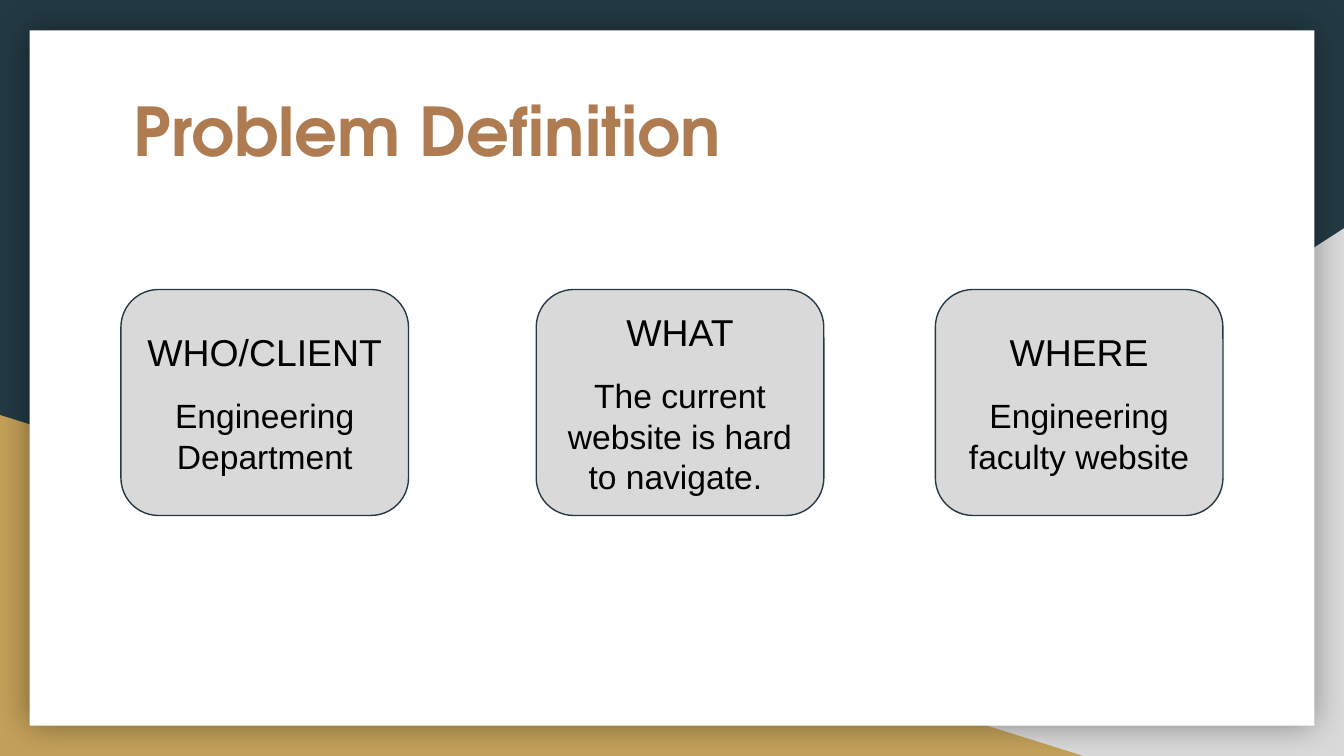
from dataclasses import dataclass

from lxml import etree
from pptx import Presentation
from pptx.dml.color import RGBColor
from pptx.enum.shapes import MSO_SHAPE
from pptx.enum.text import MSO_ANCHOR, PP_ALIGN
from pptx.oxml.ns import qn
from pptx.shapes.autoshape import Shape
from pptx.slide import Slide
from pptx.text.text import TextFrame
from pptx.util import Inches, Pt

TRIANGLE = MSO_SHAPE.RIGHT_TRIANGLE
RECTANGLE = MSO_SHAPE.RECTANGLE
ROUNDED = MSO_SHAPE.ROUNDED_RECTANGLE
CENTER = PP_ALIGN.CENTER
MIDDLE = MSO_ANCHOR.MIDDLE
TOP = MSO_ANCHOR.TOP


@dataclass(frozen=True)
class Theme:
    navy: str = "233A44"
    gold: str = "C4A15A"
    gray: str = "D9D9D9"
    white: str = "FFFFFF"
    black: str = "000000"
    bronze: str = "AF7B51"
    title_font: str = "TeX Gyre Adventor"
    body_font: str = "Arial"
    title_size: float = 36
    heading_size: float = 20
    body_size: float = 18
    heading_gap: float = 11.5
    outline: float = 0.75
    shadow_blur: float = 18
    shadow_alpha: int = 40


@dataclass(frozen=True)
class Box:
    x: float
    y: float
    w: float
    h: float

    def emu(self) -> tuple[int, ...]:
        col, row = WIDTH / 100, HEIGHT / 100
        return (round(self.x * col), round(self.y * row),
                round(self.w * col), round(self.h * row))


@dataclass(frozen=True)
class Card:
    left: float
    heading: str
    body: str


THEME = Theme()
WIDTH = Inches(10)
HEIGHT = WIDTH * 9 // 16
CARD_TOP, CARD_WIDTH, CARD_HEIGHT = 38.3, 21.4, 29.9
CARDS = (
    Card(9, "WHO/CLIENT", "Engineering Department"),
    Card(39.9, "WHAT", "The current website is hard to navigate. "),
    Card(69.6, "WHERE", "Engineering faculty website"),
)


def rgb(color: str) -> RGBColor:
    return RGBColor.from_string(color)


def add_shape(s: Slide, kind: MSO_SHAPE, box: Box, fill: str) -> Shape:
    sp = s.shapes.add_shape(kind, *box.emu())
    sp.shadow.inherit = False
    sp.fill.solid()
    sp.fill.fore_color.rgb = rgb(fill)
    sp.line.fill.background()
    return sp


def add_glow(sp: Shape) -> None:
    effects = sp._element.spPr.find(qn("a:effectLst"))
    shadow = etree.SubElement(effects, qn("a:outerShdw"), blurRad=str(Pt(THEME.shadow_blur)),
                              dist="0", dir="0", algn="ctr", rotWithShape="0")
    color = etree.SubElement(shadow, qn("a:srgbClr"), val=THEME.black)
    etree.SubElement(color, qn("a:alpha"), val=str(THEME.shadow_alpha * 1000))


def setup_text(tf: TextFrame, anchor: MSO_ANCHOR) -> None:
    tf.word_wrap = True
    tf.vertical_anchor = anchor
    tf.margin_left = tf.margin_right = tf.margin_top = tf.margin_bottom = Inches(0.1)


def add_backdrop(s: Slide) -> None:
    s.background.fill.solid()
    s.background.fill.fore_color.rgb = rgb(THEME.navy)
    corner = add_shape(s, TRIANGLE, Box(39.2, 30.2, 60.8, 69.8), THEME.gray)
    corner._element.spPr.xfrm.set("flipH", "1")
    add_shape(s, TRIANGLE, Box(0, 54.9, 80.6, 45.1), THEME.gold)
    add_glow(add_shape(s, RECTANGLE, Box(2.2, 4, 95.6, 92), THEME.white))


def add_title(s: Slide, text: str) -> None:
    tf = s.shapes.add_textbox(*Box(8.95, 10.1, 82.1, 18.5).emu()).text_frame
    setup_text(tf, TOP)
    p = tf.paragraphs[0]
    p.text = text
    p.font.name, p.font.size, p.font.bold = THEME.title_font, Pt(THEME.title_size), True
    p.font.color.rgb = rgb(THEME.bronze)


def add_card(s: Slide, card: Card) -> None:
    sp = add_shape(s, ROUNDED, Box(card.left, CARD_TOP, CARD_WIDTH, CARD_HEIGHT), THEME.gray)
    sp.line.color.rgb = rgb(THEME.navy)
    sp.line.width = Pt(THEME.outline)
    tf = sp.text_frame
    setup_text(tf, MIDDLE)
    tf.text = f"{card.heading}\n{card.body}"
    for p, size in zip(tf.paragraphs, (THEME.heading_size, THEME.body_size)):
        p.alignment = CENTER
        p.font.name, p.font.size = THEME.body_font, Pt(size)
        p.font.color.rgb = rgb(THEME.black)
    tf.paragraphs[1].space_before = Pt(THEME.heading_gap)


def main() -> None:
    prs = Presentation()
    prs.slide_width, prs.slide_height = WIDTH, HEIGHT
    s = prs.slides.add_slide(prs.slide_layouts[6])
    add_backdrop(s)
    add_title(s, "Problem Definition")
    for card in CARDS:
        add_card(s, card)
    prs.save("out.pptx")


if __name__ == "__main__":
    main()
